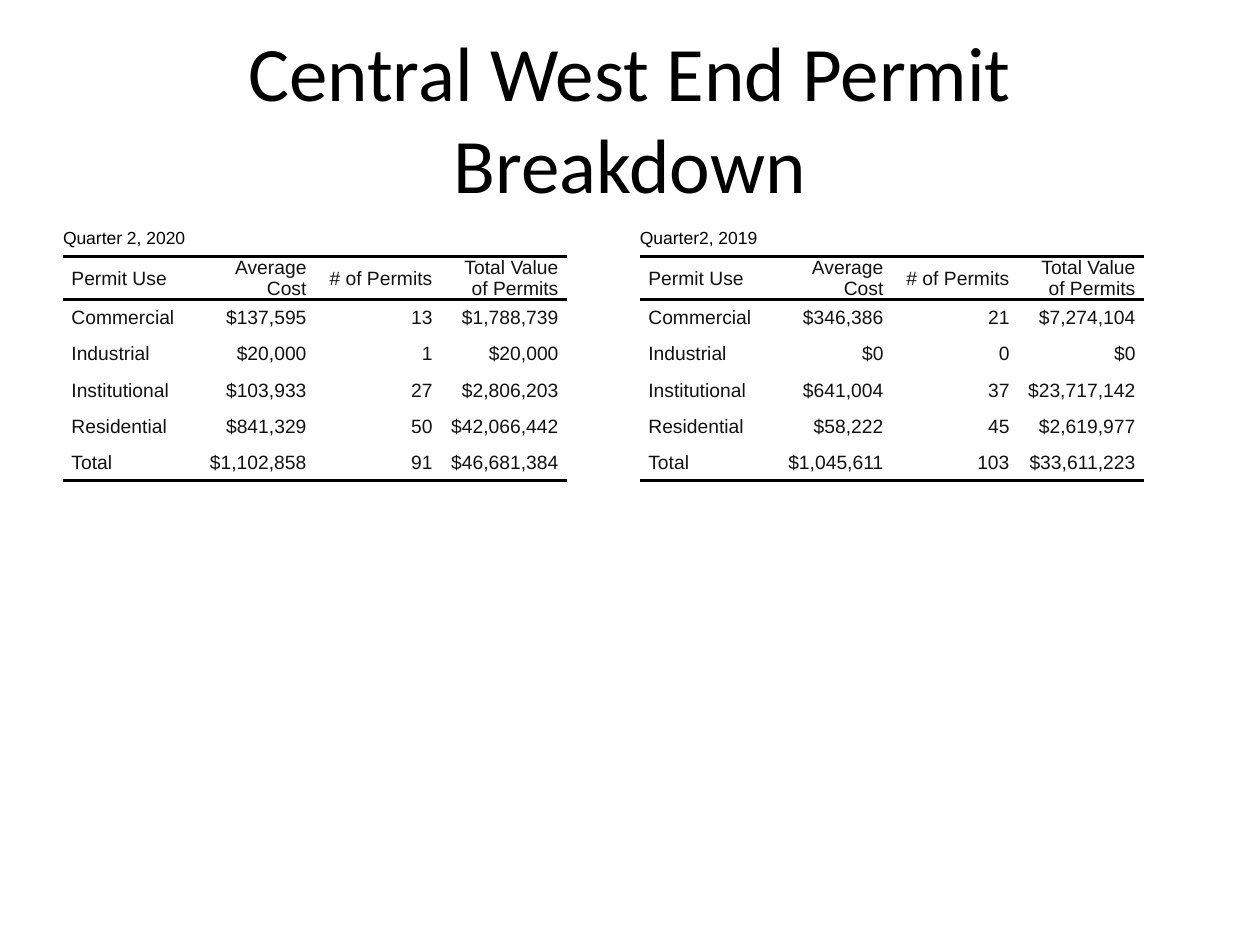
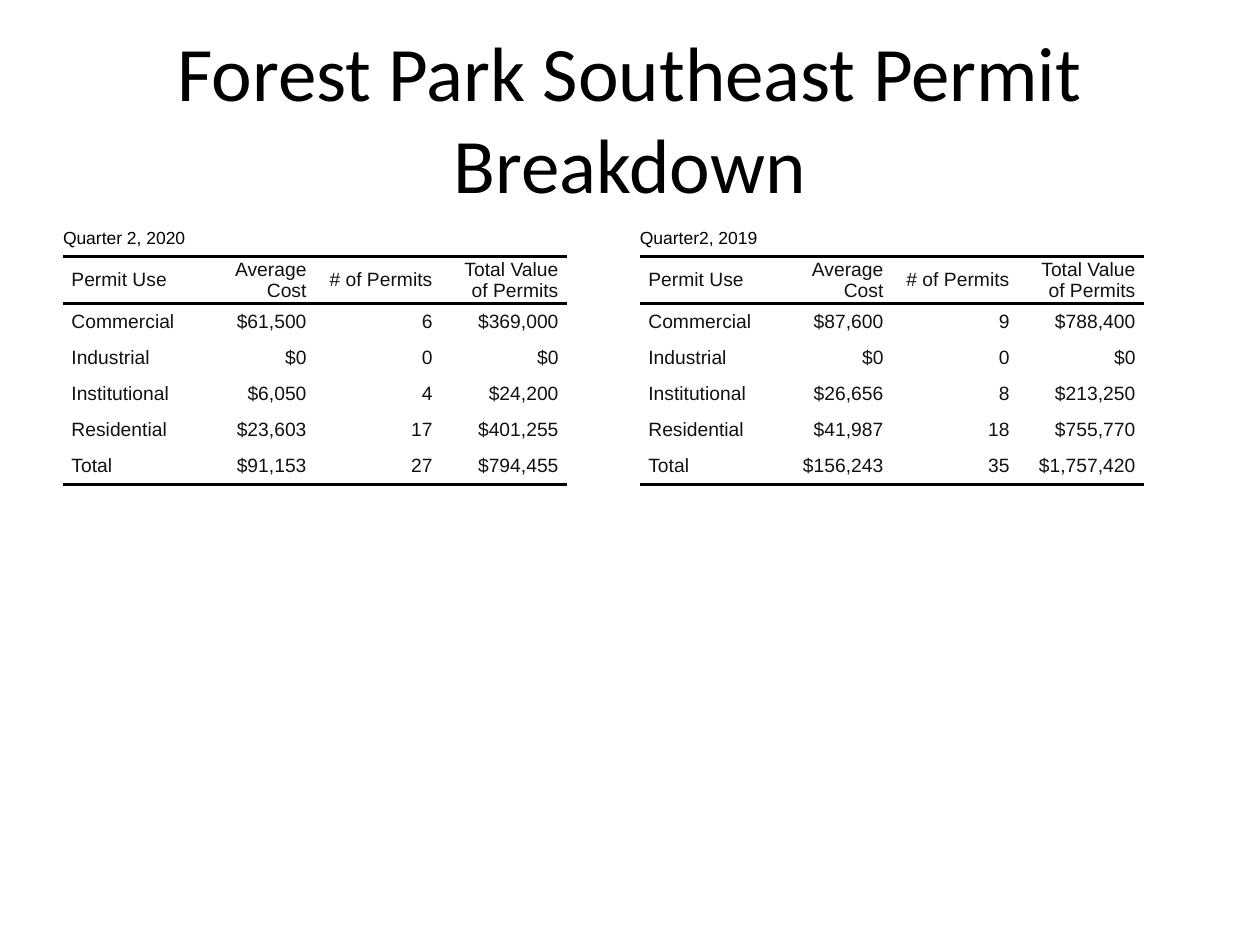
from pptx import Presentation
from pptx.dml.color import RGBColor
from pptx.enum.text import MSO_ANCHOR, PP_ALIGN
from pptx.oxml import parse_xml
from pptx.oxml.ns import nsdecls
from pptx.util import Cm, Pt

BLACK, INK = "000000", "111111"
TITLE_FONT, TABLE_FONT = "Calibri", "Arial"
NO_STYLE = "{2D5ABB26-0587-4C30-8999-92F81FD0307C}"
TITLE_BOX = (1.27, 0.76, 22.86, 3.18)
TABLE_BOXES = [(left, 4.45, 11.23, 12.57) for left in (1.27, 12.9)]
COL_WIDTH, ROW_HEIGHT, INDENT = 2.54, 0.73, 0.17

HEADERS = ("Permit Use", "Average Cost", "# of Permits", "Total Value of Permits")
USES = ("Commercial", "Industrial", "Institutional", "Residential", "Total")
PERIODS = ("Quarter 2, 2020", "Quarter2, 2019")
BREAKDOWNS = {
    "Central West End Permit Breakdown": (
        [(137595, 13, 1788739), (20000, 1, 20000), (103933, 27, 2806203),
         (841329, 50, 42066442), (1102858, 91, 46681384)],
        [(346386, 21, 7274104), (0, 0, 0), (641004, 37, 23717142),
         (58222, 45, 2619977), (1045611, 103, 33611223)],
    ),
    "Forest Park Southeast Permit Breakdown": (
        [(61500, 6, 369000), (0, 0, 0), (6050, 4, 24200),
         (23603, 17, 401255), (91153, 27, 794455)],
        [(87600, 9, 788400), (0, 0, 0), (26656, 8, 213250),
         (41987, 18, 755770), (156243, 35, 1757420)],
    ),
}


def rgb(color):
    """Turn a hex string into a colour."""
    return RGBColor.from_string(color)


def style_font(p, name, size, color):
    """Set the font of every run in a paragraph."""
    for r in p.runs:
        r.font.name, r.font.size = name, Pt(size)
        r.font.color.rgb = rgb(color)


def add_title(s, text, box):
    """Add the centred slide title."""
    tf = s.shapes.add_textbox(*map(Cm, box)).text_frame
    tf.word_wrap = True
    tf.vertical_anchor = MSO_ANCHOR.MIDDLE
    tf.text = text
    p = tf.paragraphs[0]
    p.alignment = PP_ALIGN.CENTER
    style_font(p, TITLE_FONT, 44, BLACK)


def add_rule(cell, side):
    """Draw a 2 pt rule on the top (T) or bottom (B) of a cell."""
    cell._tc.get_or_add_tcPr().append(parse_xml(
        f'<a:ln{side} {nsdecls("a")} w="{Pt(2)}"><a:solidFill>'
        f'<a:srgbClr val="{BLACK}"/></a:solidFill></a:ln{side}>'))


def fill_cell(cell, text, size, color):
    """Write a cell with no insets and no fill, and return its paragraph."""
    cell.margin_left = cell.margin_right = cell.margin_top = cell.margin_bottom = 0
    cell.vertical_anchor = MSO_ANCHOR.MIDDLE
    cell.fill.background()
    cell.text = text
    p = cell.text_frame.paragraphs[0]
    style_font(p, TABLE_FONT, size, color)
    return p


def add_permit_table(s, period, figures, box):
    """Add one quarter's permit table under its period caption."""
    rows = [HEADERS] + [
        (use, f"${cost:,}", str(count), f"${total:,}")
        for use, (cost, count, total) in zip(USES, figures)]
    frame = s.shapes.add_table(len(rows) + 1, len(HEADERS), *map(Cm, box))
    table = frame.table
    table.first_row = table.horz_banding = False
    table._tbl.tblPr.find("{*}tableStyleId").text = NO_STYLE
    for col in table.columns:
        col.width = Cm(COL_WIDTH)
    for row in table.rows:
        row.height = Cm(ROW_HEIGHT)
    frame.width, frame.height = Cm(box[2]), Cm(box[3])

    caption = table.cell(0, 0)
    caption.merge(table.cell(0, len(HEADERS) - 1))
    fill_cell(caption, period, 10, BLACK)

    rules = {1: "TB", len(rows): "B"}
    for i, row in enumerate(rows, 1):
        for j, text in enumerate(row):
            cell = table.cell(i, j)
            for side in rules.get(i, ""):
                add_rule(cell, side)
            p = fill_cell(cell, text, 11, INK)
            p.alignment = PP_ALIGN.RIGHT if j else PP_ALIGN.LEFT
            p.space_before = p.space_after = Pt(2)
            for margin in ("marL", "marR"):
                p._p.get_or_add_pPr().set(margin, str(Cm(INDENT)))


def add_breakdown_slide(prs, title, quarters):
    """Add a slide comparing the two quarters of one neighbourhood."""
    s = prs.slides.add_slide(prs.slide_layouts[6])
    for period, figures, box in zip(PERIODS, quarters, TABLE_BOXES):
        add_permit_table(s, period, figures, box)
    add_title(s, title, TITLE_BOX)


def main():
    """Build and save the presentation."""
    prs = Presentation()
    prs.slide_width, prs.slide_height = Cm(25.4), Cm(19.05)
    for title, quarters in BREAKDOWNS.items():
        add_breakdown_slide(prs, title, quarters)
    prs.save("out.pptx")


if __name__ == "__main__":
    main()
